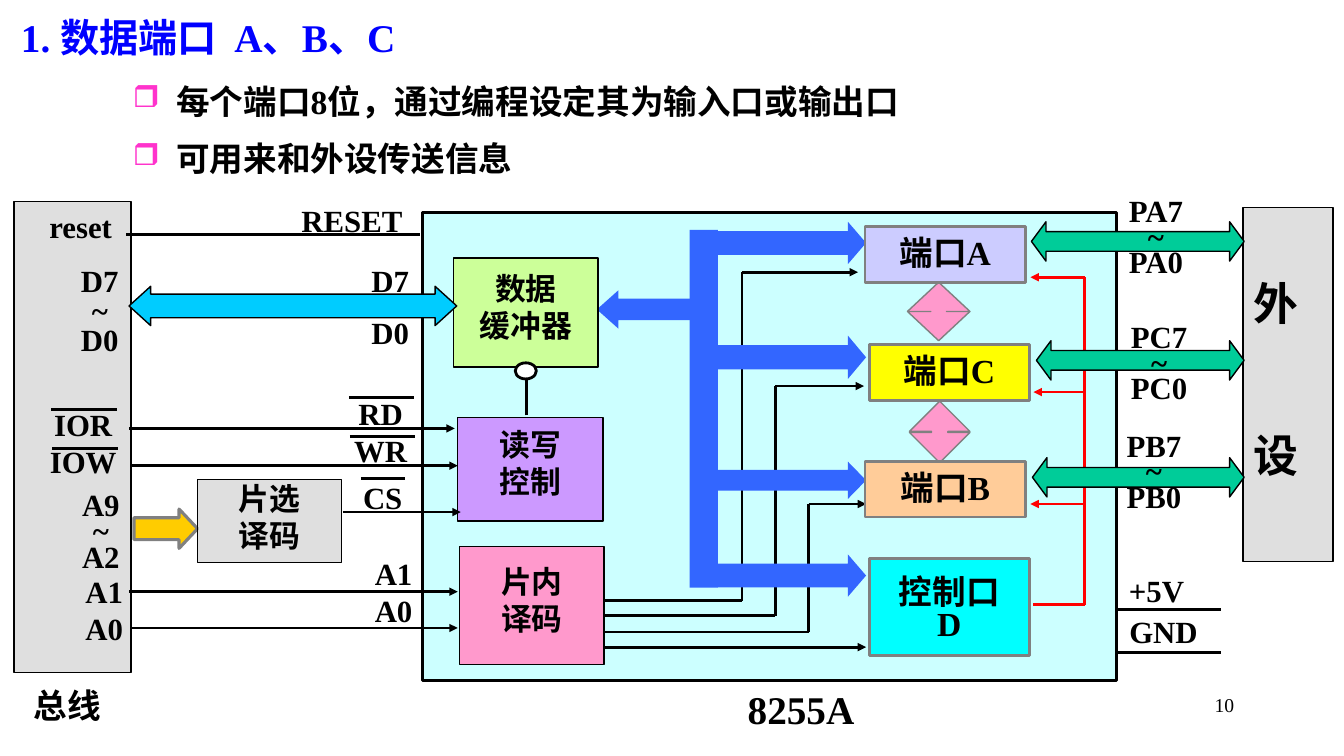
from dataclasses import dataclass
from itertools import pairwise

from lxml import etree
from pptx import Presentation
from pptx.dml.color import RGBColor
from pptx.enum.shapes import MSO_CONNECTOR, MSO_SHAPE
from pptx.enum.text import MSO_ANCHOR, PP_ALIGN
from pptx.oxml.ns import qn
from pptx.util import Inches, Pt

RECT, OVAL = MSO_SHAPE.RECTANGLE, MSO_SHAPE.OVAL
RIGHT_ARROW, LEFT_ARROW = MSO_SHAPE.RIGHT_ARROW, MSO_SHAPE.LEFT_ARROW
TWO_WAY, UP_DOWN = MSO_SHAPE.LEFT_RIGHT_ARROW, MSO_SHAPE.UP_DOWN_ARROW
STRAIGHT = MSO_CONNECTOR.STRAIGHT
TOP = MSO_ANCHOR.TOP
LEFT, CENTER, RIGHT = PP_ALIGN.LEFT, PP_ALIGN.CENTER, PP_ALIGN.RIGHT

COLORS = {
    "black": "000000", "white": "FFFFFF", "gray": "808080", "silver": "C0C0C0",
    "title": "0000FF", "bullet": "FF33CC", "red": "FF0000", "chip": "CCFFFF",
    "bus": "3366FF", "data": "00CCFF", "device": "00CC99", "address": "FFCC00",
    "lime": "CCFF99", "purple": "CC99FF", "pink": "FF99CC", "cyan": "00FFFF",
    "lavender": "CCCCFF", "yellow": "FFFF00", "peach": "FFCC99",
}


@dataclass
class Text:
    lines: tuple[str, ...]
    size: float = 22
    color: str = "black"
    bold: bool = True
    align: PP_ALIGN = CENTER
    spacing: float = 1.0
    before: float = 0
    side: float = 0
    inset: float = 0
    bulleted: bool = False


@dataclass
class Box:
    area: tuple[float, float, float, float]
    fill: str
    line: str = ""
    weight: float = 1
    kind: MSO_SHAPE = RECT
    adjust: tuple[float, ...] = ()
    text: Text | None = None
    opacity: int = 100


@dataclass
class Label:
    area: tuple[float, float, float, float]
    text: Text


@dataclass
class Wire:
    points: tuple[tuple[float, float], ...]
    color: str = "black"
    arrow: bool = False


def rgb(name: str) -> RGBColor:
    return RGBColor.from_string(COLORS[name])


def add_bullet(para) -> None:
    properties = para._p.get_or_add_pPr()
    properties.set("marL", str(Inches(0.43)))
    properties.set("indent", str(-Inches(0.43)))
    color = etree.SubElement(properties, qn("a:buClr"))
    etree.SubElement(color, qn("a:srgbClr"), val=COLORS["bullet"])
    etree.SubElement(properties, qn("a:buSzPct"), val="90000")
    etree.SubElement(properties, qn("a:buChar"), char="❒")


def write(frame, text: Text) -> None:
    settings = {"word_wrap": True, "vertical_anchor": TOP, "margin_left": Inches(text.side),
                "margin_right": Inches(text.side), "margin_top": Inches(text.inset), "margin_bottom": 0}
    for name, value in settings.items():
        setattr(frame, name, value)
    font = {"name": "Times New Roman", "size": Pt(text.size), "bold": text.bold}
    for index, line in enumerate(text.lines):
        para = frame.add_paragraph() if index else frame.paragraphs[0]
        para.alignment, para.line_spacing = text.align, text.spacing
        if index:
            para.space_before = Pt(text.before)
        if text.bulleted:
            add_bullet(para)
        span = para.add_run()
        span.text = line
        for name, value in font.items():
            setattr(span.font, name, value)
        span.font.color.rgb = rgb(text.color)


def draw_box(page, box: Box) -> None:
    shape = page.shapes.add_shape(box.kind, *map(Inches, box.area))
    shape.shadow.inherit = False
    shape.fill.solid()
    shape.fill.fore_color.rgb = rgb(box.fill)
    if box.opacity < 100:
        color = shape._element.spPr.find(qn("a:solidFill"))[0]
        etree.SubElement(color, qn("a:alpha"), val=str(box.opacity * 1000))
    if box.line:
        shape.line.color.rgb = rgb(box.line)
        shape.line.width = Pt(box.weight)
    else:
        shape.line.fill.background()
    for index, value in enumerate(box.adjust):
        shape.adjustments[index] = value
    if box.text:
        write(shape.text_frame, box.text)


def draw_label(page, label: Label) -> None:
    write(page.shapes.add_textbox(*map(Inches, label.area)).text_frame, label.text)


def draw_wire(page, wire: Wire) -> None:
    for start, end in pairwise(wire.points):
        line = page.shapes.add_connector(STRAIGHT, *map(Inches, (*start, *end)))
        line.line.color.rgb = rgb(wire.color)
        line.line.width = Pt(2)
        if wire.arrow and end == wire.points[-1]:
            etree.SubElement(line.line._get_or_add_ln(), qn("a:tailEnd"), type="triangle")
        etree.SubElement(line._element.spPr, qn("a:effectLst"))


def level(left: float, y: float, right: float, arrow: bool = False) -> Wire:
    return Wire(((left, y), (right, y)), arrow=arrow)


def block(left: float, top: float, width: float, height: float, fill: str,
          lines: tuple[str, ...], inset: float) -> Box:
    return Box((left, top, width, height), fill, "black", text=Text(lines, inset=inset))


def port(left: float, top: float, height: float, fill: str, lines: tuple[str, ...],
         spacing: float, inset: float) -> Box:
    return Box((left, top, 1.59, height), fill, "gray", 2,
               text=Text(lines, 24, spacing=spacing, inset=inset))


def label(left: float, top: float, width: float, height: float, *lines: str, **style) -> Label:
    return Label((left, top, width, height), Text(lines, **style))


# Heading, bullets and captions
margins = {"side": 0.1, "inset": 0.05}
HEADING = [
    label(0.11, 0.08, 6.44, 0.57, "1. 数据端口  A、B、C", size=28, color="title", align=LEFT, **margins),
    label(1.22, 0.75, 11.11, 1.11, "每个端口8位，通过编程设定其为输入口或输出口", "可用来和外设传送信息",
          size=24, align=LEFT, before=12, bulleted=True, **margins),
    label(9.56, 6.83, 2.78, 0.5, "10", size=14, bold=False, align=RIGHT, **margins),
    label(6.78, 6.75, 2.33, 0.57, "8255A", size=28, **margins),
    label(0.11, 6.75, 1.11, 0.5, "总线", size=24, inset=0.05),
]

# System bus, chip body and external device
FRAMES = [
    Box((0.14, 2, 1.16, 4.67), "silver", "black", opacity=50),
    Box((4.19, 2.11, 6.88, 4.64), "chip", "black", 2),
    Box((12.33, 2.06, 0.89, 3.51), "silver", "black", opacity=50,
        text=Text(("外", "设"), 32, align=LEFT, before=70, side=0.1, inset=0.68)),
]

# Decoder outputs, then control feedback in red
WIRES = [Wire(((5.97, low), (x, low), (x, high), (end, high)), arrow=True)
         for x, low, high, end in ((7.36, 5.96, 2.7, 8.51), (7.69, 6.11, 3.83, 8.57), (8.02, 6.27, 5, 8.59))]
WIRES += [
    level(5.97, 6.42, 8.59, True),
    Wire(((10.25, 6), (10.76, 6), (10.76, 2.75), (10.22, 2.75)), "red", True),
    *(Wire(((10.76, y), (x, y)), "red", True) for x, y in ((10.25, 3.89), (10.22, 5))),
    Wire(((5.22, 4.12), (5.22, 3.77))),
    level(1.25, 2.33, 4.17), level(11.06, 6.05, 12.11), level(11.06, 6.47, 12.11),
]

# Block arrows and functional blocks
BLOCKS = [
    Box((1.33, 5.05, 0.63, 0.39), "address", "gray", 2.25, RIGHT_ARROW, (0.56, 0.47)),
    Box((5.92, 2.88, 0.99, 0.38), "bus", kind=LEFT_ARROW, adjust=(0.56, 0.56)),
    Box((6.84, 2.28, 0.28, 3.55), "bus"),
    *(Box((7.12, top, 1.47, height), "bus", kind=RIGHT_ARROW, adjust=(0.56, 0.18 / height))
      for top, height in ((2.2, 0.42), (3.33, 0.43), (4.58, 0.37), (5.5, 0.42))),
    Box((9, 2.8, 0.62, 0.58), "pink", "gray", 1, UP_DOWN, (0.5, 0.25)),
    Box((9.02, 3.98, 0.6, 0.61), "pink", "gray", 1, UP_DOWN, (0.5, 0.27)),
    Box((1.96, 4.76, 1.43, 0.82), "silver", "black", text=Text(("片选", "译码")), opacity=50),
    block(4.5, 2.56, 1.43, 1.08, "lime", ("数据", "缓冲器"), 0.12),
    block(4.54, 4.14, 1.44, 1.03, "purple", ("读写", "控制"), 0.08),
    block(4.56, 5.42, 1.43, 1.17, "pink", ("片内", "译码"), 0.16),
    port(8.58, 2.25, 0.55, "lavender", ("端口A",), 0.7, 0.16),
    port(8.62, 3.42, 0.55, "yellow", ("端口C",), 0.7, 0.16),
    port(8.58, 4.58, 0.55, "peach", ("端口B",), 0.7, 0.16),
    port(8.62, 5.54, 0.96, "cyan", ("控制口", "D"), 0.8, 0.2),
    Box((5.11, 3.6, 0.21, 0.16), "white", "black", 2, OVAL),
    Box((1.28, 2.84, 3.25, 0.39), "data", "black", 1, TWO_WAY, (0.6, 0.55)),
    *(Box((left, top, 12.34 - left, 0.39), "device", "black", 1, TWO_WAY, (0.5, 0.37))
      for left, top in ((10.23, 2.2), (10.28, 3.38), (10.24, 4.54))),
]

# Signal lines and the bars over active-low names
SIGNALS = [level(left, y, right, True) for left, y, right in (
    (1.28, 4.25, 4.51), (1.31, 4.62, 4.54), (3.4, 5.08, 4.57), (1.28, 5.87, 4.54), (1.3, 6.23, 4.54))]
SIGNALS += [level(left, y, left + width) for left, y, width in (
    (0.51, 4.06, 0.65), (0.52, 4.45, 0.65), (3.46, 3.94, 0.65), (3.47, 4.33, 0.65), (3.58, 4.75, 0.44))]

# Signal names
NAMES = [
    label(0.32, 2.06, 0.96, 0.35, "reset"),
    label(0.51, 2.67, 0.96, 0.83, "D7", "~", "D0", spacing=0.8),
    label(0.36, 4.03, 0.93, 0.63, "IOR", "IOW"),
    label(0.52, 4.92, 0.96, 0.83, "A9", "~", "A2", spacing=0.7),
    label(0.26, 5.68, 0.96, 0.74, "A1", "A0", align=RIGHT),
    label(2.73, 2, 1.52, 0.35, "RESET"),
    label(3.39, 2.67, 0.96, 0.83, "D7", "D0", spacing=0.8, before=16),
    label(3.31, 3.92, 0.93, 0.63, "RD", "WR"),
    label(3.47, 4.75, 0.65, 0.35, "CS"),
    label(3.13, 5.5, 0.96, 0.63, "A1", "A0", align=RIGHT),
    *(label(left, top, 0.85, 1, f"P{name}7", "~", f"P{name}0", spacing=0.7)
      for name, left, top in (("A", 11.04, 2), ("C", 11.07, 3.25), ("B", 11.02, 4.33))),
    label(10.99, 5.67, 0.96, 0.35, "+5V"),
    label(11.06, 6.08, 0.96, 0.35, "GND"),
]


def main() -> None:
    deck = Presentation()
    deck.slide_width, deck.slide_height = Inches(13.33), Inches(7.5)
    page = deck.slides.add_slide(deck.slide_layouts[6])
    draw = {Box: draw_box, Label: draw_label, Wire: draw_wire}
    for part in HEADING + FRAMES + WIRES + BLOCKS + SIGNALS + NAMES:
        draw[type(part)](page, part)
    deck.save("out.pptx")


if __name__ == "__main__":
    main()
